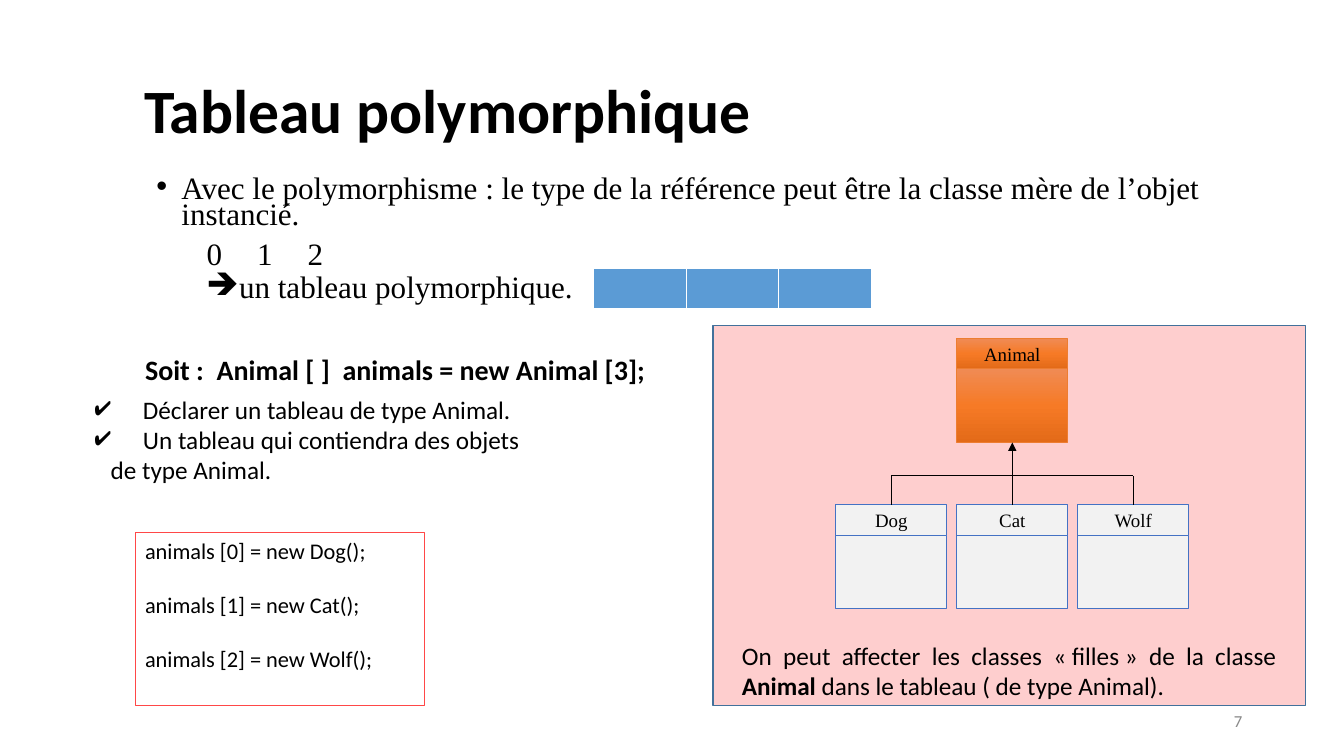
from copy import deepcopy
from dataclasses import dataclass

from lxml.etree import SubElement
from pptx import Presentation
from pptx.dml.color import RGBColor
from pptx.enum.shapes import MSO_CONNECTOR, MSO_SHAPE
from pptx.enum.text import MSO_ANCHOR, MSO_AUTO_SIZE, PP_ALIGN
from pptx.oxml.ns import qn
from pptx.util import Inches, Pt


@dataclass(frozen=True)
class Theme:
    sans: str = "Calibri"
    serif: str = "Times New Roman"
    black: str = "000000"
    white: str = "FFFFFF"
    grey: str = "888888"
    red: str = "FF4747"
    pink: str = "FECECE"
    panel_line: str = "42719B"
    cell: str = "5B9BD5"
    child_fill: str = "F2F2F2"
    child_line: str = "4472C4"
    parent_line: str = "ED7D31"
    parent_fill: tuple = ("F08B54", "F67A26", "E36A18")
    title_size: float = 44
    body_size: float = 22.2
    lead_size: float = 20
    text_size: float = 18
    code_size: float = 16
    class_size: float = 13.5
    number_size: float = 12


THEME = Theme()


def rgb(value):
    return RGBColor.from_string(value)


def inches(*values):
    return [Inches(value) for value in values]


def format_runs(paragraph, size, font=THEME.sans, color=THEME.black, bold=False):
    for run in paragraph.runs:
        run.font.size = Pt(size)
        run.font.name = font
        run.font.color.rgb = rgb(color)
        run.font.bold = bold


def set_indent(paragraph, margin, first_line=0, bullet=None):
    properties = paragraph._p.get_or_add_pPr()
    properties.set("marL", str(Inches(margin)))
    properties.set("indent", str(Inches(first_line)))
    if bullet:
        color = SubElement(properties, qn("a:buClr"))
        SubElement(color, qn("a:srgbClr"), val=THEME.black)
        SubElement(properties, qn("a:buChar"), char=bullet)
    else:
        SubElement(properties, qn("a:buNone"))


def add_tab_stops(paragraph, positions):
    tabs = SubElement(paragraph._p.get_or_add_pPr(), qn("a:tabLst"))
    for position in positions:
        SubElement(tabs, qn("a:tab"), pos=str(Inches(position)), algn="ctr")


def add_text(slide, box, lines, size, **style):
    frame = slide.shapes.add_textbox(*inches(*box)).text_frame
    frame.word_wrap = True
    frame.text = "\n".join(lines)
    for paragraph in frame.paragraphs:
        format_runs(paragraph, size, **style)
    return frame


def add_rectangle(slide, box, fill, line, width=0.75):
    shape = slide.shapes.add_shape(MSO_SHAPE.RECTANGLE, *inches(*box))
    shape.shadow.inherit = False
    if fill is None:
        shape.fill.background()
    elif isinstance(fill, tuple):
        fill_gradient(shape, fill)
    else:
        shape.fill.solid()
        shape.fill.fore_color.rgb = rgb(fill)
    shape.line.color.rgb = rgb(line)
    shape.line.width = Pt(width)
    return shape


def fill_gradient(shape, colors):
    shape.fill.gradient()
    shape.fill.gradient_angle = 270
    stop_list = shape._element.spPr.find(qn("a:gradFill")).find(qn("a:gsLst"))
    stop_list.append(deepcopy(stop_list[0]))
    for index, (stop, color) in enumerate(zip(shape.fill.gradient_stops, colors)):
        stop.position = index / (len(colors) - 1)
        stop.color.rgb = rgb(color)


def add_line(slide, start, end):
    line = slide.shapes.add_connector(MSO_CONNECTOR.STRAIGHT, *inches(*start, *end))
    line.line.color.rgb = rgb(THEME.black)
    line.line.width = Pt(0.75)
    SubElement(line._element.spPr, qn("a:effectLst"))
    return line


# Title and main statement
def fill_title(slide, box):
    title = slide.shapes.title
    title.left, title.top, title.width, title.height = inches(*box)
    frame = title.text_frame
    frame.text = "Tableau polymorphique"
    frame.auto_size = MSO_AUTO_SIZE.NONE
    frame.vertical_anchor = MSO_ANCHOR.MIDDLE
    paragraph = frame.paragraphs[0]
    set_indent(paragraph, 0.41)
    paragraph.alignment = PP_ALIGN.LEFT
    paragraph.line_spacing = 0.9
    format_runs(paragraph, THEME.title_size, bold=True)


def fill_body(slide, box):
    body = slide.placeholders[1]
    body.left, body.top, body.width, body.height = inches(*box)
    frame = body.text_frame
    frame.text = (
        "Avec le polymorphisme : le type de la référence peut être la classe mère "
        "de l’objet instancié.\n\t0\t1\t2\nun tableau polymorphique."
    )
    frame.auto_size = MSO_AUTO_SIZE.NONE
    statement, indices, result = frame.paragraphs
    set_indent(statement, 0.25, -0.25, "•")
    set_indent(indices, 0)
    add_tab_stops(indices, (4.86, 5.86, 6.78))
    result.level = 1
    set_indent(result, 0.75, -0.25, "🡺")
    for paragraph, space in zip(frame.paragraphs, (0, 10, 5)):
        paragraph.line_spacing = 0.7
        paragraph.space_before = Pt(space)
        format_runs(paragraph, THEME.body_size, THEME.serif)


# Declaration and its explanation
def add_declaration(slide, box):
    left, top, width, height = box
    add_text(slide, (left + 0.5, top, width - 1.21, 0.44),
             ["Soit :  Animal [ ]  animals = new Animal [3];"],
             THEME.lead_size, bold=True)
    frame = add_text(slide, (left, top + 0.41, width, height - 0.41),
                     ["Déclarer un tableau de type Animal.",
                      "Un tableau qui contiendra des objets",
                      "de type Animal."], THEME.text_size)
    *checked, continuation = frame.paragraphs
    for paragraph in checked:
        set_indent(paragraph, 0.48, -0.48, "✔")
    set_indent(continuation, 0.16)


# Framed code
def add_code(slide, box):
    frame = add_rectangle(slide, box, None, THEME.red).text_frame
    frame.word_wrap = True
    frame.vertical_anchor = MSO_ANCHOR.TOP
    frame.text = "\n".join(f"animals [{index}] = new {name}();"
                           for index, name in enumerate(("Dog", "Cat", "Wolf")))
    for index, paragraph in enumerate(frame.paragraphs):
        paragraph.alignment = PP_ALIGN.LEFT
        paragraph.space_before = Pt(19.5 if index else 0)
        format_runs(paragraph, THEME.code_size)


# Class hierarchy
def add_class(slide, left, top, name, fill, line):
    header = add_rectangle(slide, (left, top, 1.1, 0.3), fill, line)
    header.text_frame.vertical_anchor = MSO_ANCHOR.MIDDLE
    header.text_frame.text = name
    paragraph = header.text_frame.paragraphs[0]
    paragraph.alignment = PP_ALIGN.CENTER
    format_runs(paragraph, THEME.class_size, THEME.serif)
    members = add_rectangle(slide, (left, top + 0.3, 1.1, 0.73), fill, line)
    return header, members


def add_hierarchy(slide, box):
    left, top, width, height = box
    add_rectangle(slide, box, THEME.pink, THEME.panel_line, 1)
    first, step, half = left + 1.22, 1.2, 0.55
    bar = top + 1.49
    _, parent = add_class(slide, first + step, top + 0.13, "Animal",
                          THEME.parent_fill, THEME.parent_line)
    for index, name in enumerate(("Dog", "Cat", "Wolf")):
        child_left = first + index * step
        header, _ = add_class(slide, child_left, top + 1.78, name,
                              THEME.child_fill, THEME.child_line)
        center = child_left + half
        stem = add_line(slide, (center, top + 1.78), (center, bar))
        stem.begin_connect(header, 0)
    add_line(slide, (first + half, bar), (first + 2 * step + half, bar))
    center = first + step + half
    arrow = add_line(slide, (center, bar), (center, top + 1.16))
    arrow.end_connect(parent, 2)
    SubElement(arrow.line._get_or_add_ln(), qn("a:tailEnd"), type="triangle")

    frame = add_text(slide, (left + 0.19, top + 3.07, width - 0.38, height - 3.06),
                     ["On peut affecter les classes «\u00a0filles\u00a0» de la classe "],
                     THEME.text_size)
    paragraph = frame.paragraphs[0]
    paragraph.alignment = PP_ALIGN.JUSTIFY
    for text in ("Animal", " dans le tableau ( de type Animal)."):
        paragraph.add_run().text = text
    format_runs(paragraph, THEME.text_size)
    paragraph.runs[1].font.bold = True


# Array cells
def add_array(slide, box):
    table = slide.shapes.add_table(1, 3, *inches(*box)).table
    table.first_row = table.horz_banding = False
    for cell in table.iter_cells():
        properties = cell._tc.get_or_add_tcPr()
        for side, width in (("L", 1), ("R", 1), ("T", 1), ("B", 3)):
            border = SubElement(properties, qn(f"a:ln{side}"), w=str(Pt(width)))
            SubElement(SubElement(border, qn("a:solidFill")), qn("a:srgbClr"), val=THEME.white)
        cell.fill.solid()
        cell.fill.fore_color.rgb = rgb(THEME.cell)


def add_slide_number(slide, box):
    frame = add_text(slide, box, ["7"], THEME.number_size, color=THEME.grey)
    frame.vertical_anchor = MSO_ANCHOR.MIDDLE
    frame.paragraphs[0].alignment = PP_ALIGN.RIGHT


def main():
    presentation = Presentation()
    presentation.slide_width, presentation.slide_height = inches(13.33, 7.5)
    slide = presentation.slides.add_slide(presentation.slide_layouts[1])
    fill_title(slide, (0.92, 0.4, 11.5, 1.45))
    add_slide_number(slide, (9.42, 6.95, 3, 0.4))
    fill_body(slide, (1.45, 1.72, 11.15, 1.36))
    add_declaration(slide, (0.84, 3.45, 7.13, 1.42))
    add_code(slide, (1.34, 5.28, 2.87, 1.72))
    add_hierarchy(slide, (7.07, 3.23, 5.88, 3.77))
    add_array(slide, (5.89, 2.66, 2.75, 0.41))
    presentation.save("out.pptx")


if __name__ == "__main__":
    main()
